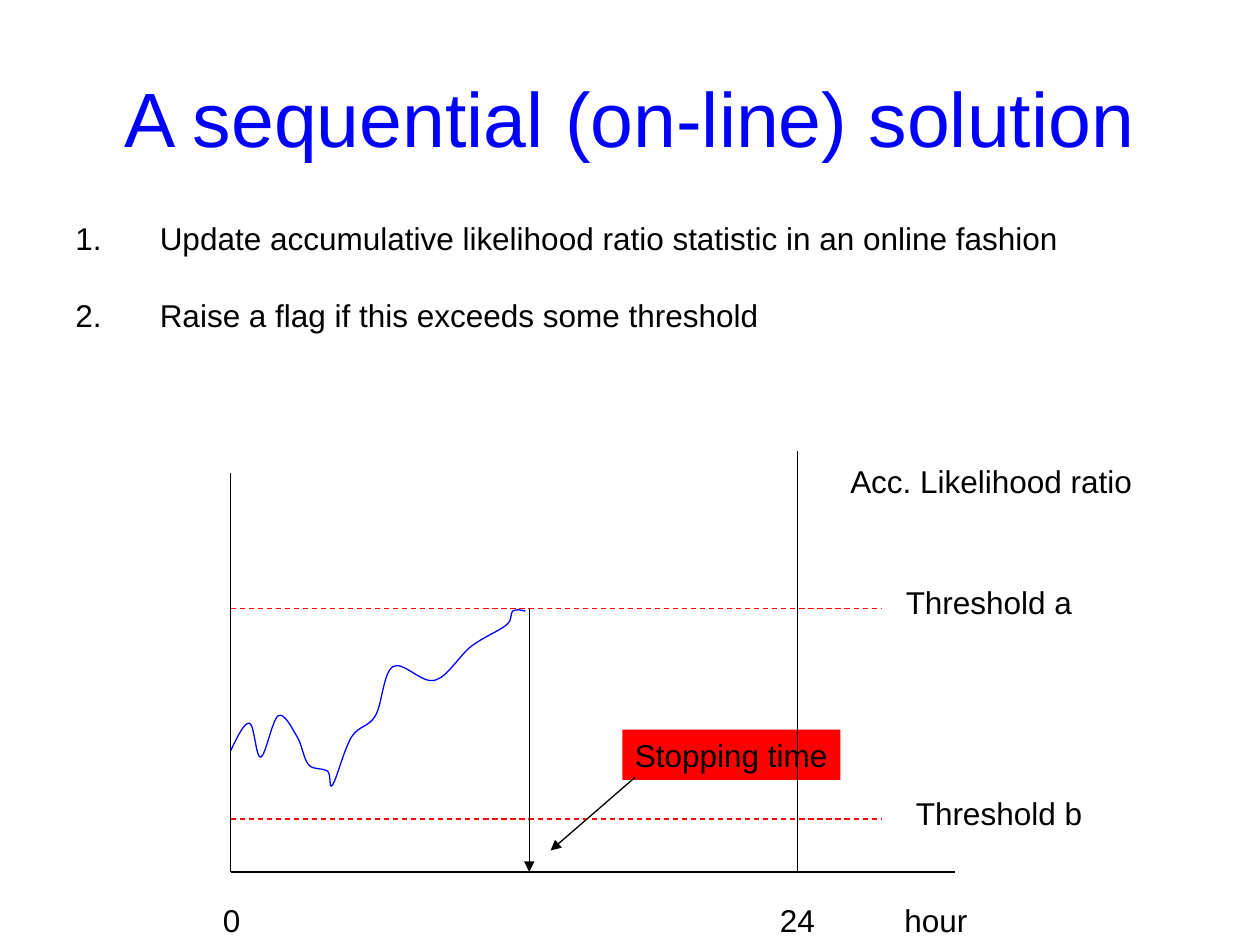
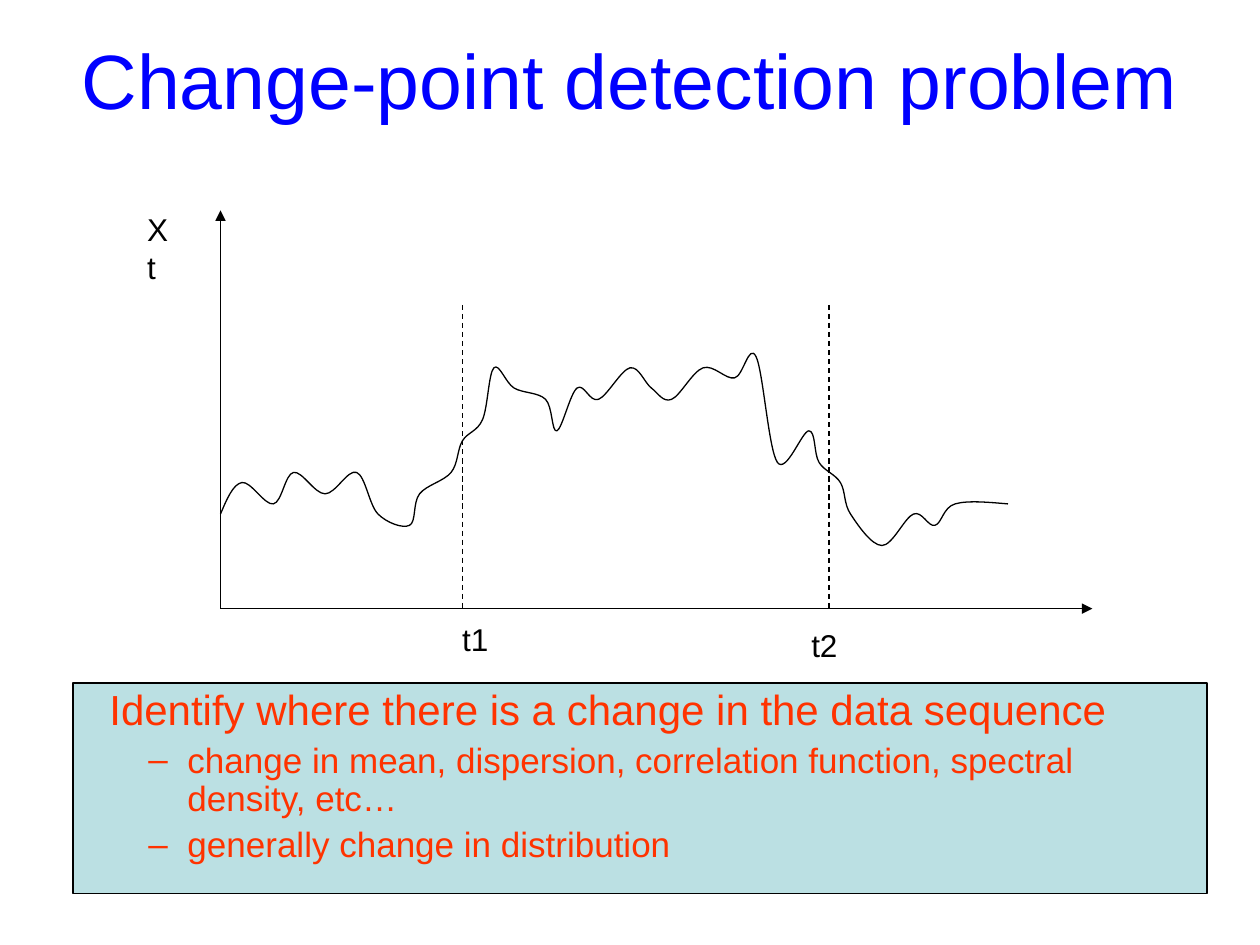
from pptx import Presentation
from pptx.dml.color import RGBColor
from pptx.enum.dml import MSO_LINE
from pptx.enum.shapes import MSO_CONNECTOR
from pptx.enum.text import MSO_ANCHOR as ANCHOR, PP_ALIGN as ALIGN
from pptx.oxml.ns import qn
from pptx.util import Inches, Pt
from lxml.etree import SubElement as Sub

COLORS = {
    "title": "0000FF",
    "text": "000000",
    "curve": "0000FF",
    "alert": "FF0000",
    "panel": "BBE0E3",
    "finding": "FF3300",
}
FONT = "Arial"
LINE_WIDTH = Pt(0.75)

# Anchor points that each smooth curve runs through
RATIO_CURVE = [
    (1.83, 5.96), (1.98, 5.74), (2.07, 6.01), (2.21, 5.68), (2.36, 5.85),
    (2.45, 6.07), (2.6, 6.12), (2.64, 6.23), (2.79, 5.85), (2.98, 5.68),
    (3.12, 5.29), (3.45, 5.4), (3.74, 5.13), (4.02, 4.96), (4.07, 4.85),
    (4.17, 4.85),
]
SERIES_CURVE = [
    (1.75, 4.08), (1.92, 3.83), (2.17, 4), (2.33, 3.75), (2.58, 3.92),
    (2.83, 3.75), (3, 4.08), (3.25, 4.17), (3.33, 3.92), (3.58, 3.75),
    (3.67, 3.5), (3.83, 3.33), (3.92, 2.92), (4.08, 3.08), (4.33, 3.17),
    (4.42, 3.42), (4.58, 3.08), (4.75, 3.17), (5, 2.92), (5.17, 3.08),
    (5.33, 3.17), (5.58, 2.92), (5.83, 3), (6, 2.83), (6.17, 3.67),
    (6.42, 3.42), (6.5, 3.67), (6.67, 3.83), (6.75, 4.08), (7, 4.33),
    (7.25, 4.08), (7.42, 4.17), (7.58, 4), (8, 4),
]


def rgb(name):
    return RGBColor.from_string(COLORS[name])


# ---- Text ----
def write(p, text, size=18, color="text", align=None, left=0, hang=0,
          bullet=None, numbered=False, spacing=None, before=0):
    """Fill one paragraph; left and hang are inches."""
    pPr = p._p.get_or_add_pPr()
    pPr.set("marL", str(Inches(left)))
    pPr.set("indent", str(Inches(-hang)))
    if numbered:
        Sub(pPr, qn("a:buFont"), typeface=FONT)
        Sub(pPr, qn("a:buAutoNum"), type="arabicPeriod")
    elif bullet:
        Sub(pPr, qn("a:buFont"), typeface=FONT)
        Sub(pPr, qn("a:buChar"), char=bullet)
    else:
        Sub(pPr, qn("a:buNone"))
    p.alignment = align
    p.line_spacing = spacing
    p.space_before = Pt(before)
    r = p.add_run()
    r.text = text
    r.font.name, r.font.size = FONT, Pt(size)
    r.font.color.rgb = rgb(color)


def add_box(slide, x, y, w, h, wrap=True, anchor=ANCHOR.TOP, fill=None, line=None):
    sp = slide.shapes.add_textbox(Inches(x), Inches(y), Inches(w), Inches(h))
    tf = sp.text_frame
    tf.word_wrap, tf.vertical_anchor = wrap, anchor
    if fill:
        sp.fill.solid()
        sp.fill.fore_color.rgb = rgb(fill)
    if line:
        sp.line.color.rgb, sp.line.width = rgb(line), LINE_WIDTH
    return tf


def add_title(slide, text, y):
    tf = add_box(slide, 0.5, y, 9, 1.25, anchor=ANCHOR.MIDDLE)
    write(tf.paragraphs[0], text, size=44, color="title", align=ALIGN.CENTER)


def add_label(slide, text, x, y, w, fill=None):
    tf = add_box(slide, x, y, w, 0.4, wrap=False, fill=fill)
    write(tf.paragraphs[0], text)


def add_list(tf, items):
    """Items are (text, format) pairs."""
    for i, (text, fmt) in enumerate(items):
        p = tf.add_paragraph() if i else tf.paragraphs[0]
        write(p, text, **fmt)


# ---- Lines ----
def add_line(slide, start, end, color="text", dashed=False, arrow=False):
    ends = [Inches(v) for v in (*start, *end)]
    cn = slide.shapes.add_connector(MSO_CONNECTOR.STRAIGHT, *ends)
    cn.line.color.rgb, cn.line.width = rgb(color), LINE_WIDTH
    if dashed:
        cn.line.dash_style = MSO_LINE.DASH
    if arrow:
        Sub(cn.line._get_or_add_ln(), qn("a:tailEnd"), type="triangle")
    Sub(cn._element.spPr, qn("a:effectLst"))


def bezier_controls(pts):
    """Yield the two control points of each segment of a smooth curve."""
    def shifted(i, sign):
        return [c + sign * (b - a) / 6
                for a, c, b in zip(pts[i - 1], pts[i], pts[i + 1])]

    def middle(a, b):
        return [(u + v) / 2 for u, v in zip(a, b)]

    last = len(pts) - 1
    for i in range(last):
        out = shifted(i, 1) if i else None
        into = shifted(i + 1, -1) if i + 1 < last else middle(out, pts[last])
        yield out or middle(pts[0], into), into


def add_curve(slide, points, color):
    pts = [(Inches(x), Inches(y)) for x, y in points]
    builder = slide.shapes.build_freeform(*pts[0])
    builder.add_line_segments(pts[1:], close=False)
    sp = builder.convert_to_shape()
    sp.shadow.inherit = False
    sp.fill.background()
    sp.line.color.rgb, sp.line.width = rgb(color), LINE_WIDTH
    # Turn each straight segment into a cubic one
    left, top = sp.left, sp.top
    segments = list(sp._element.iter(qn("a:lnTo")))
    for seg, controls in zip(segments, bezier_controls(pts)):
        seg.tag = qn("a:cubicBezTo")
        for i, (x, y) in enumerate(controls):
            pt = Sub(seg, qn("a:pt"), x=str(round(x - left)), y=str(round(y - top)))
            seg.insert(i, pt)


# ---- Slides ----
def sequential_slide(slide):
    add_title(slide, "A sequential (on-line) solution", 0.3)
    step = dict(numbered=True, left=0.67, hang=0.67, spacing=0.8)
    add_list(add_box(slide, 0.5, 1.75, 9, 1), [
        ("Update accumulative likelihood ratio statistic in an online fashion", step),
        ("Raise a flag if this exceeds some threshold", dict(step, before=26.5)),
    ])

    # Axes, thresholds and the running statistic
    x0, base, upper, lower, stop, day_end = 1.83, 6.92, 4.83, 6.5, 4.2, 6.33
    add_line(slide, (x0, 3.75), (x0, base))
    add_line(slide, (x0, base), (7.58, base))
    add_curve(slide, RATIO_CURVE, "curve")
    for y in (upper, lower):
        add_line(slide, (x0, y), (7, y), "alert", dashed=True)

    # Stopping time
    add_line(slide, (stop, upper), (stop, base), arrow=True)
    add_label(slide, "Stopping time", 4.94, 5.79, 1.73, fill="alert")
    add_line(slide, (5.04, 6.17), (4.37, 6.75), arrow=True)

    for text, x, y, w in [
        ("Threshold a", 7.09, 4.58, 1.52),
        ("Threshold b", 7.17, 6.25, 1.52),
        ("Acc. Likelihood ratio", 6.65, 3.62, 2.44),
        ("0", 1.67, 7.1, 0.34),
        ("24", 6.09, 7.1, 0.48),
        ("hour", 7.08, 7.1, 0.7),
    ]:
        add_label(slide, text, x, y, w)
    add_line(slide, (day_end, 3.58), (day_end, base))


def change_point_slide(slide):
    add_title(slide, "Change-point detection problem", 0)

    # Findings panel
    finding = dict(color="finding", spacing=0.9)
    kind = dict(finding, size=20, bullet="–", left=0.81, hang=0.31, before=5)
    panel = add_box(slide, 0.58, 5.42, 9, 1.67, fill="panel", line="text")
    add_list(panel, [
        ("Identify where there is a change in the data sequence",
         dict(finding, size=24, left=0.19)),
        ("change in mean, dispersion, correlation function, spectral density, etc…", kind),
        ("generally change in distribution", kind),
    ])

    # Axes, series and change points
    x0, base = 1.75, 4.83
    for tip in ((x0, 1.67), (8.67, base)):
        add_line(slide, (x0, base), tip, arrow=True)
    add_curve(slide, SERIES_CURVE, "text")
    for x in (3.67, 6.58):
        add_line(slide, (x, 2.42), (x, base), dashed=True)
    add_label(slide, "Xt", 1.07, 1.62, 0.43)
    add_label(slide, "t1", 3.57, 4.87, 0.41)
    add_label(slide, "t2", 6.34, 4.92, 0.41)


def main():
    prs = Presentation()
    prs.slide_width, prs.slide_height = Inches(10), Inches(7.5)
    blank = prs.slide_layouts[6]
    for build in (sequential_slide, change_point_slide):
        build(prs.slides.add_slide(blank))
    prs.save("out.pptx")


if __name__ == "__main__":
    main()
